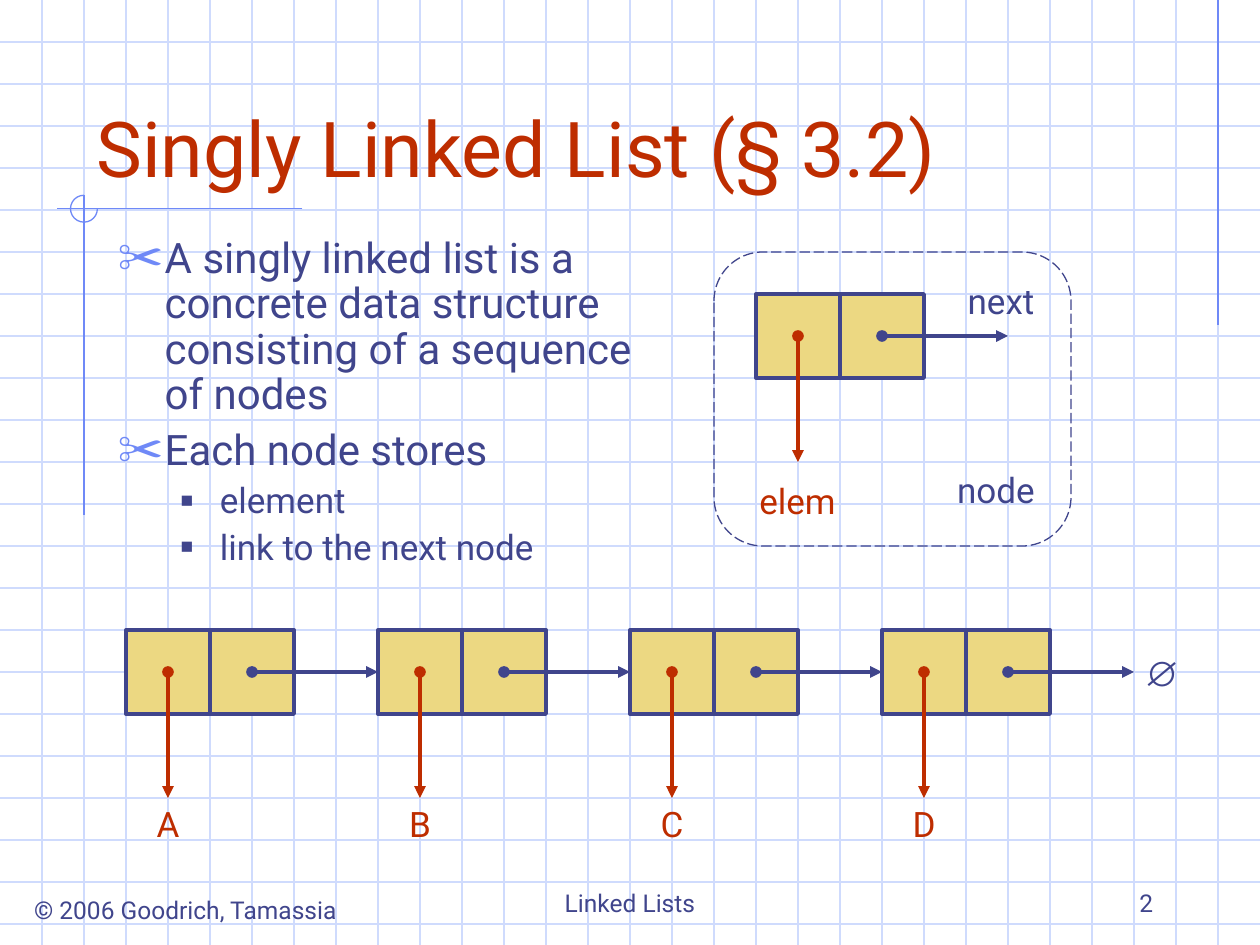
from lxml.etree import SubElement
from pptx import Presentation
from pptx.dml.color import RGBColor
from pptx.enum.dml import MSO_LINE_DASH_STYLE as Dash
from pptx.enum.shapes import MSO_CONNECTOR_TYPE as Connector, MSO_SHAPE as Shape
from pptx.enum.text import MSO_ANCHOR as Anchor, MSO_AUTO_SIZE as AutoSize, PP_ALIGN as Align
from pptx.oxml.ns import qn
from pptx.util import Cm, Pt

INDIGO = RGBColor(0x40, 0x45, 0x8C)
RUST = RGBColor(0xBE, 0x2D, 0x00)
SAND = RGBColor(0xEC, 0xD8, 0x82)
PERIWINKLE = RGBColor(0x6F, 0x89, 0xF7)
PALE_BLUE = RGBColor(0xCF, 0xDB, 0xFD)

COLUMNS, ROWS = 30, 22.5
BODY = [
    (0, "A singly linked list is a concrete data structure consisting of a sequence of nodes"),
    (0, "Each node stores"),
    (1, "element"),
    (1, "link to the next node"),
]
# Per level: bullet, its colour, its size in percent, text size, space before, margin, hang
LEVELS = [
    ("✂", PERIWINKLE, 110, 24, 6, 0.95, 0.95),
    ("■", INDIGO, 60, 20, 5, 2.06, 0.79),
]


def cells(*counts):
    """Turn counts of background grid squares (three to the inch) into lengths."""
    return [Cm(count * 2.54 / 3) for count in counts]


def write(paragraph, text, size=20, color=INDIGO, font="Roboto", bold=False, align=Align.LEFT):
    paragraph.text = text
    paragraph.alignment = align
    style = paragraph.font
    style.size, style.name, style.bold = Pt(size), font, bold
    style.color.rgb = color


def add_label(slide, text, left, top, width, height=1.32, anchor=Anchor.TOP, wrap=False,
              align=Align.CENTER, **style):
    box = slide.shapes.add_textbox(*cells(left, top, width, height))
    frame = box.text_frame
    frame.word_wrap = wrap
    frame.auto_size = AutoSize.NONE if wrap else AutoSize.SHAPE_TO_FIT_TEXT
    frame.vertical_anchor = anchor
    write(frame.paragraphs[0], text, align=align, **style)


def add_line(slide, start, end, color, width=0.75):
    line = slide.shapes.add_connector(Connector.STRAIGHT, *cells(*start, *end))
    line.line.color.rgb = color
    line.line.width = Pt(width)
    SubElement(line._element.spPr, qn("a:effectLst"))
    return line


def add_pointer(slide, start, end, color):
    """Draw an arrow that begins with a dot."""
    stroke = add_line(slide, start, end, color, 2.25).line._get_or_add_ln()
    SubElement(stroke, qn("a:headEnd"), type="oval")
    SubElement(stroke, qn("a:tailEnd"), type="triangle")


def add_outline(slide, kind, left, top, width, height, color, weight=0.75, fill=None):
    shape = slide.shapes.add_shape(kind, *cells(left, top, width, height))
    shape.shadow.inherit = False
    if fill is None:
        shape.fill.background()
    else:
        shape.fill.solid()
        shape.fill.fore_color.rgb = fill
    shape.line.color.rgb = color
    shape.line.width = Pt(weight)
    return shape


def add_node(slide, left, top):
    """Draw an element cell and a link cell, each with its pointer."""
    for cell_left in (left, left + 2):
        add_outline(slide, Shape.RECTANGLE, cell_left, top, 2, 2, INDIGO, 2.25, SAND)
    add_pointer(slide, (left + 1, top + 1), (left + 1, top + 4), RUST)
    add_pointer(slide, (left + 3, top + 1), (left + 6, top + 1), INDIGO)


def add_backdrop(slide):
    for row in range(1, 23):
        add_line(slide, (0, row), (COLUMNS, row), PALE_BLUE)
    for column in range(1, COLUMNS):
        add_line(slide, (column, 0), (column, ROWS), PALE_BLUE)
    add_line(slide, (29, 0), (29, 7.75), PERIWINKLE)
    add_line(slide, (7.2, 4.97), (1.35, 4.97), PERIWINKLE)
    add_line(slide, (2, 4.65), (2, 12.27), PERIWINKLE)
    ring = add_outline(slide, Shape.ARC, 1.68, 4.65, 0.64, 0.64, PERIWINKLE)
    # Three quarters of a turn, in 60000ths of a degree over 100000
    ring.adjustments[0], ring.adjustments[1] = 0, 162


def place(slide, placeholder, left, top, width, height, anchor):
    """Set a placeholder's box and bring it in front of the backdrop."""
    placeholder.left, placeholder.top, placeholder.width, placeholder.height = cells(
        left, top, width, height)
    placeholder.text_frame.auto_size = AutoSize.NONE
    placeholder.text_frame.vertical_anchor = anchor
    slide.shapes.element.append(placeholder.element)
    return placeholder.text_frame


def set_bullet(paragraph, symbol, color, percent, margin, hang):
    properties = paragraph._p.get_or_add_pPr()
    properties.set("marL", str(Cm(margin)))
    properties.set("indent", str(-Cm(hang)))
    tint = SubElement(properties, qn("a:buClr"))
    SubElement(tint, qn("a:srgbClr"), val=str(color))
    SubElement(properties, qn("a:buSzPct"), val=str(percent * 1000))
    SubElement(properties, qn("a:buChar"), char=symbol)


def fill_list(frame):
    for index, (level, text) in enumerate(BODY):
        paragraph = frame.add_paragraph() if index else frame.paragraphs[0]
        symbol, color, percent, size, gap, margin, hang = LEVELS[level]
        paragraph.level = level
        set_bullet(paragraph, symbol, color, percent, margin, hang)
        paragraph.line_spacing = 0.9
        paragraph.space_before = Pt(gap if index else 0)
        write(paragraph, text, size=size)


def add_node_legend(slide):
    frame = add_outline(slide, Shape.ROUNDED_RECTANGLE, 17, 6, 8.5, 7, INDIGO)
    frame.line.dash_style = Dash.LONG_DASH
    add_node(slide, 18, 7)
    add_label(slide, "next", 22.68, 6.5, 2.31)
    add_label(slide, "elem", 17.73, 11.28, 2.52, color=RUST)
    add_label(slide, "node", 22.41, 11, 2.61)


def add_linked_list(slide):
    for index, element in enumerate("ABCD"):
        left = 3 + 6 * index
        add_node(slide, left, 15)
        add_label(slide, element, left + 0.43, 18.96, 1.14, color=RUST)
    add_label(slide, "∅", 26.95, 15.36, 1.26, font="Arial", bold=True)


def main():
    deck = Presentation()
    deck.slide_width, deck.slide_height = cells(COLUMNS, ROWS)
    slide = deck.slides.add_slide(deck.slide_layouts[1])
    add_backdrop(slide)

    title = place(slide, slide.shapes.title, 2, 1, 25.5, 3.75, Anchor.BOTTOM)
    write(title.paragraphs[0], "Singly Linked List (§ 3.2)", size=44, color=RUST)
    fill_list(place(slide, slide.placeholders[1], 2.5, 5.5, 13.5, 8.25, Anchor.TOP))

    add_node_legend(slide)
    add_linked_list(slide)

    add_label(slide, "© 2006 Goodrich, Tamassia", 0.35, 21.17, 8.13, 1.02, size=14)
    footer = dict(height=1.5, anchor=Anchor.BOTTOM, wrap=True, size=14)
    add_label(slide, "Linked Lists", 10.25, 20.5, 9.5, **footer)
    add_label(slide, "2", 21.5, 20.5, 6.25, align=Align.RIGHT, **footer)
    deck.save("out.pptx")


if __name__ == "__main__":
    main()
